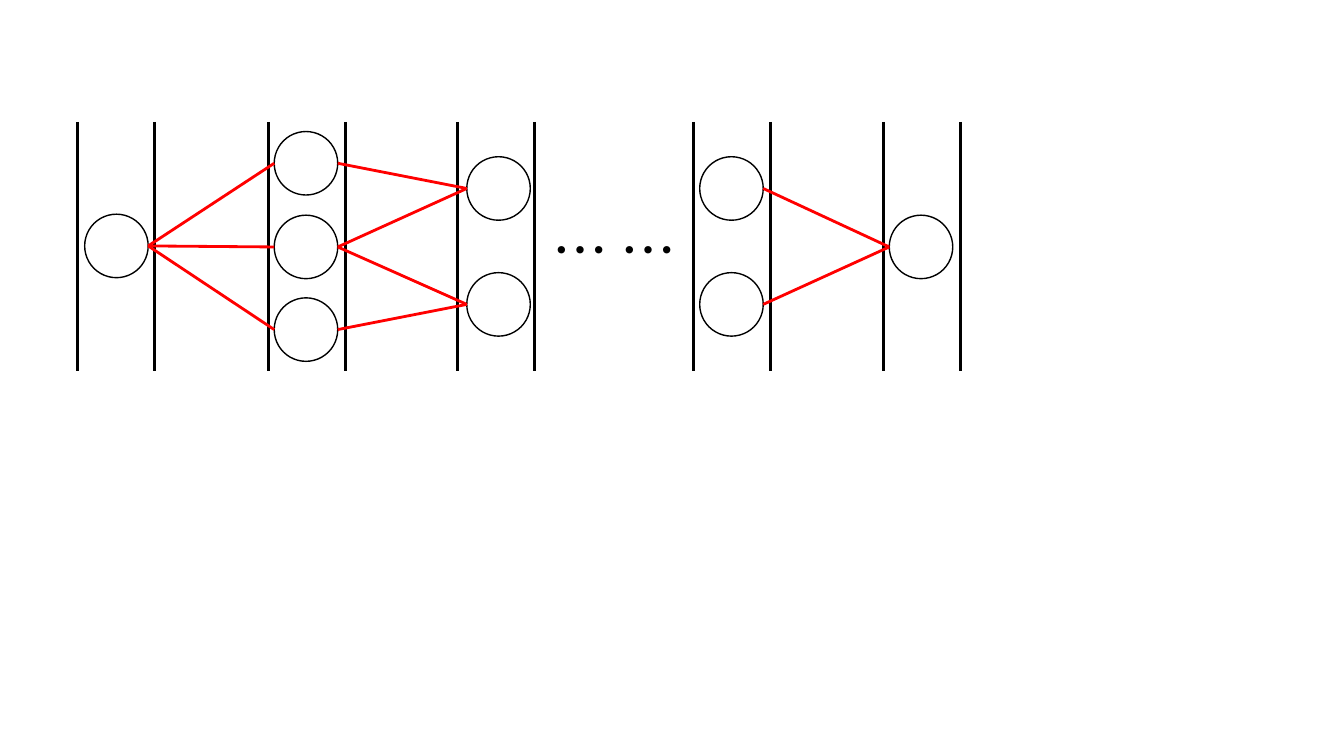
from lxml import etree
from pptx import Presentation
from pptx.dml.color import RGBColor
from pptx.enum.shapes import MSO_CONNECTOR, MSO_SHAPE
from pptx.enum.text import MSO_AUTO_SIZE, PP_ALIGN
from pptx.oxml.ns import qn
from pptx.util import Inches, Pt

STRAIGHT = MSO_CONNECTOR.STRAIGHT
OVAL = MSO_SHAPE.OVAL
CENTER = PP_ALIGN.CENTER
FIT_SHAPE = MSO_AUTO_SIZE.SHAPE_TO_FIT_TEXT

BLACK, RED = "000000", "FF0000"
FONT = "Noto Sans CJK SC"
RAIL_TOP, RAIL_BOTTOM, RAIL_GAP = 1.21, 3.68, 0.765
DIAMETER = 0.63

# Each layer: left rail, left edge of its nodes, node centres from top to bottom
LAYERS = [
    (0.77, 0.84, [2.44]),
    (2.66, 2.72, [1.62, 2.45, 3.27]),
    (4.54, 4.63, [1.87, 3.02]),
    (6.88, 6.94, [1.87, 3.02]),
    (8.76, 8.82, [2.45]),
]
# Links from a layer to the next one: pairs of node numbers
LINKS = {
    0: [(0, 0), (0, 1), (0, 2)],
    1: [(0, 0), (1, 0), (2, 1), (1, 1)],
    3: [(0, 0), (1, 0)],
}

presentation = Presentation()
presentation.slide_width = Inches(13.33)
presentation.slide_height = Inches(7.5)
slide = presentation.slides.add_slide(presentation.slide_layouts[6])


def add_line(x1, y1, x2, y2, color):
    line = slide.shapes.add_connector(
        STRAIGHT, Inches(x1), Inches(y1), Inches(x2), Inches(y2))
    line.line.color.rgb = RGBColor.from_string(color)
    line.line.width = Pt(2)
    properties = line._element.spPr
    etree.SubElement(properties, qn("a:effectLst"))


def add_text(text, left, top, width, height, size, color, font, align):
    box = slide.shapes.add_textbox(
        Inches(left), Inches(top), Inches(width), Inches(height))
    box.text_frame.word_wrap = True
    box.text_frame.auto_size = FIT_SHAPE
    paragraph = box.text_frame.paragraphs[0]
    paragraph.alignment = align
    run = paragraph.add_run()
    run.text = text
    run.font.size = Pt(size)
    run.font.name = font
    run.font.color.rgb = RGBColor.from_string(color)
    east_asian = etree.SubElement(run.font._element, qn("a:ea"))
    east_asian.set("typeface", font)


# Rails and nodes of every layer
for rail, node_left, centers in LAYERS:
    for x in (rail, rail + RAIL_GAP):
        add_line(x, RAIL_TOP, x, RAIL_BOTTOM, BLACK)
    for center in centers:
        node = slide.shapes.add_shape(
            OVAL, Inches(node_left), Inches(center - DIAMETER / 2),
            Inches(DIAMETER), Inches(DIAMETER))
        node.shadow.inherit = False
        node.fill.background()
        node.line.color.rgb = RGBColor.from_string(BLACK)
        node.line.width = Pt(1)

# Layers left out
add_text("… …", left=5.29, top=2.09, width=1.61, height=0.77,
         size=40, color=BLACK, font=FONT, align=CENTER)

# Links between the nodes of neighbouring layers
for number, pairs in LINKS.items():
    _, start_left, start_centers = LAYERS[number]
    _, end_left, end_centers = LAYERS[number + 1]
    for start, end in pairs:
        add_line(start_left + DIAMETER, start_centers[start],
                 end_left, end_centers[end], RED)

presentation.save("out.pptx")
